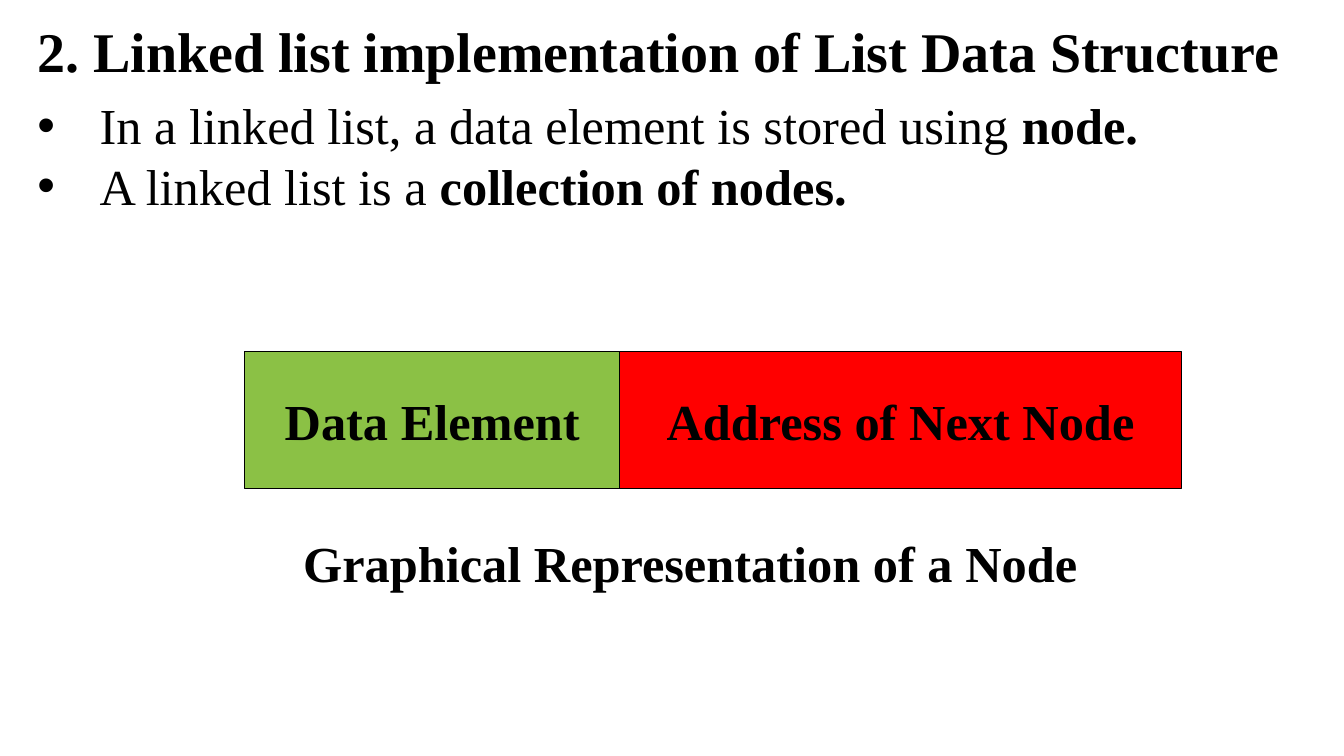
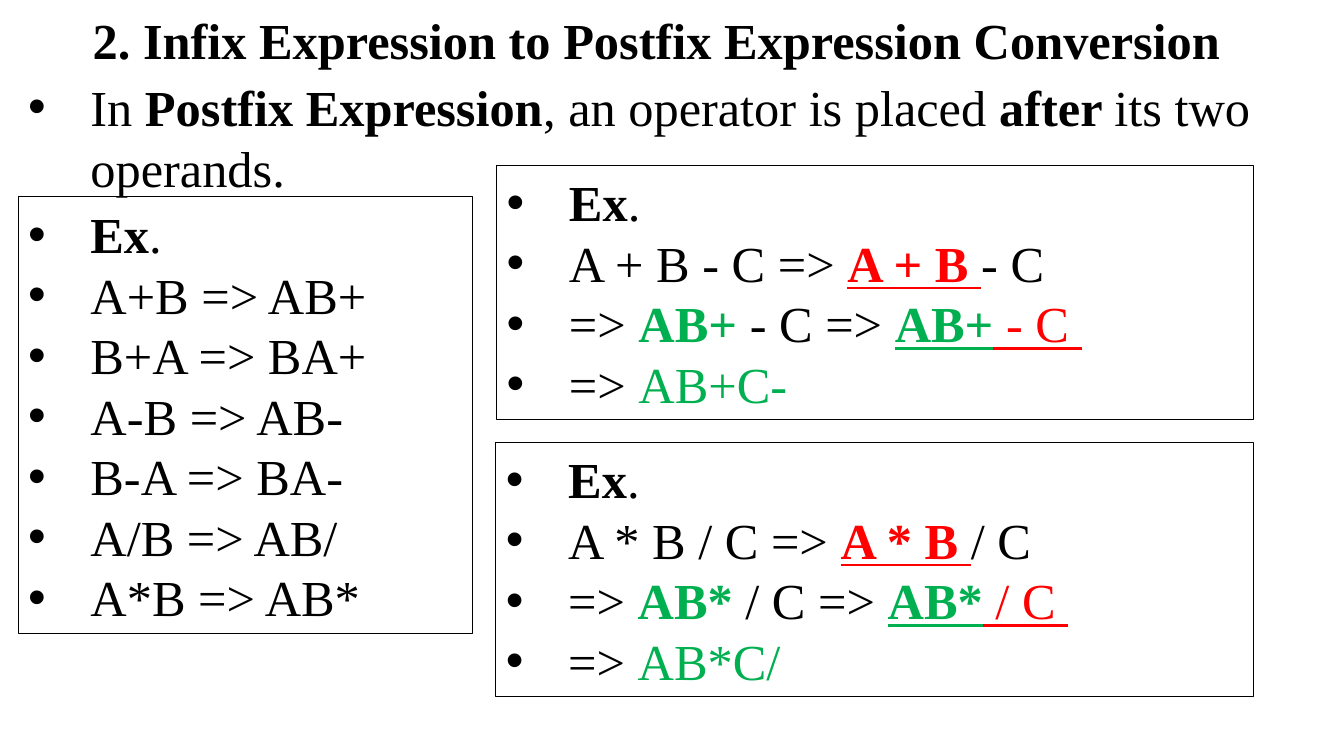
from lxml import etree
from pptx import Presentation
from pptx.dml.color import RGBColor
from pptx.enum.shapes import MSO_SHAPE
from pptx.enum.text import MSO_ANCHOR, MSO_AUTO_SIZE, PP_ALIGN
from pptx.oxml.ns import qn
from pptx.util import Cm, Pt

BLACK, WHITE, RED = "000000", "FFFFFF", "FF0000"
LIME, GREEN = "8BC145", "00B050"


def color(code):
    return RGBColor.from_string(code)


def bold(text, hue=None, under=False):
    return text, True, hue, under


def plain(text, hue=None, under=False):
    return text, False, hue, under


class Deck:
    """Holds the shared style and the slide being built."""

    font = "Times New Roman"
    size = 36
    indent = Cm(1.57)

    def __init__(self):
        self.prs = Presentation()
        self.prs.slide_width, self.prs.slide_height = Cm(33.87), Cm(19.05)
        self.slide = None

    def title(self, text, box, size=size):
        """Start a new slide with this title."""
        self.slide = self.prs.slides.add_slide(self.prs.slide_layouts[5])
        shape = self.slide.shapes.title
        shape.left, shape.top, shape.width, shape.height = map(Cm, box)
        self.fill_in(shape, [[bold(text)]], size=size)

    def bullets(self, lines, box):
        shape = self.slide.shapes.add_textbox(*map(Cm, box))
        self.fill_in(shape, lines, dots=True)

    def rect(self, box, fill=None, width=None):
        shape = self.slide.shapes.add_shape(MSO_SHAPE.RECTANGLE, *map(Cm, box))
        shape.shadow.inherit = False
        if fill:
            shape.fill.solid()
            shape.fill.fore_color.rgb = color(fill)
        else:
            shape.fill.background()
        if width:
            shape.line.color.rgb = color(BLACK)
            shape.line.width = Pt(width)
        else:
            shape.line.fill.background()
        return shape

    def label(self, text, box, fill, width=None):
        self.fill_in(self.rect(box, fill, width), [[bold(text)]], PP_ALIGN.CENTER)

    def panel(self, lines, box):
        """Draw an outlined box of bullets under the heading Ex."""
        head = [bold("Ex"), plain(".")]
        self.fill_in(self.rect(box, width=0.75), [head, *lines], dots=True)

    def fill_in(self, shape, lines, align=PP_ALIGN.LEFT, size=size, dots=False):
        """Put lines of styled parts into the shape."""
        frame = shape.text_frame
        frame.word_wrap = True
        frame.auto_size = MSO_AUTO_SIZE.NONE
        frame.vertical_anchor = MSO_ANCHOR.MIDDLE
        for i, parts in enumerate(lines):
            para = frame.add_paragraph() if i else frame.paragraphs[0]
            para.alignment = align
            if dots:
                self.dot(para)
            para.font.name, para.font.size = self.font, Pt(size)
            para.font.color.rgb = color(BLACK)
            same = all(part[1] for part in parts)
            if same:
                para.font.bold = True
            for text, strong, hue, under in parts:
                run = para.add_run()
                run.text = text
                if not same:
                    run.font.bold = strong
                if hue:
                    run.font.color.rgb = color(hue)
                if under:
                    run.font.underline = True

    def dot(self, para):
        props = para._p.get_or_add_pPr()
        props.set("marL", str(self.indent))
        props.set("indent", str(-self.indent))
        etree.SubElement(props, qn("a:buFont")).set("typeface", "Arial")
        etree.SubElement(props, qn("a:buChar")).set("char", "•")


def steps(one, two):
    """Work out the conversion of A one B two C."""
    return [
        [plain(f"A {one} B {two} C => "), bold(f"A {one} B ", RED, True),
         plain(f"{two} C")],
        [plain("=> "), bold(f"AB{one}", GREEN), plain(f" {two} C => "),
         bold(f"AB{one}", GREEN, True), plain(f" {two} C ", RED, True)],
        [plain("=> "), plain(f"AB{one}C{two}", GREEN)],
    ]


def node(deck):
    deck.title("2. Linked list implementation of List Data Structure",
               (0.69, 0.28, 32.16, 1.96), 40)
    deck.bullets([
        [plain("In a linked list, a data element is stored using "), bold("node.")],
        [plain("A linked list is a "), bold("collection of nodes.")],
    ], (0.69, 2.24, 31.47, 3.33))
    left, top, high = 6.17, 8.86, 3.45
    for text, wide, fill in (("Data Element", 9.45, LIME),
                             ("Address of Next Node", 14.15, RED)):
        deck.label(text, (left, top, wide, high), fill, 1)
        left += wide
    deck.label("Graphical Representation of a Node",
               (6.53, 13.26, 21.74, 1.8), WHITE)


def postfix(deck):
    deck.title("2. Infix Expression to Postfix Expression Conversion",
               (2.08, 0.08, 31.12, 1.8))
    pairs = ("A+B", "B+A", "A-B", "B-A", "A/B", "A*B")
    deck.panel([[plain(f"{a}{op}{b} => {a}{b}{op}")] for a, op, b in pairs],
               (0.46, 4.95, 11.46, 11.02))
    deck.bullets([[
        plain("In "), bold("Postfix Expression"),
        plain(", an operator is placed "), bold("after "),
        plain("its two operands."),
    ]], (0.46, 1.78, 32.94, 3.33))
    for ops, left, top in (("+-", 12.52, 4.17), ("*/", 12.5, 11.15)):
        deck.panel(steps(*ops), (left, top, 19.08, 6.4))


def main():
    deck = Deck()
    node(deck)
    postfix(deck)
    deck.prs.save("out.pptx")


if __name__ == "__main__":
    main()
